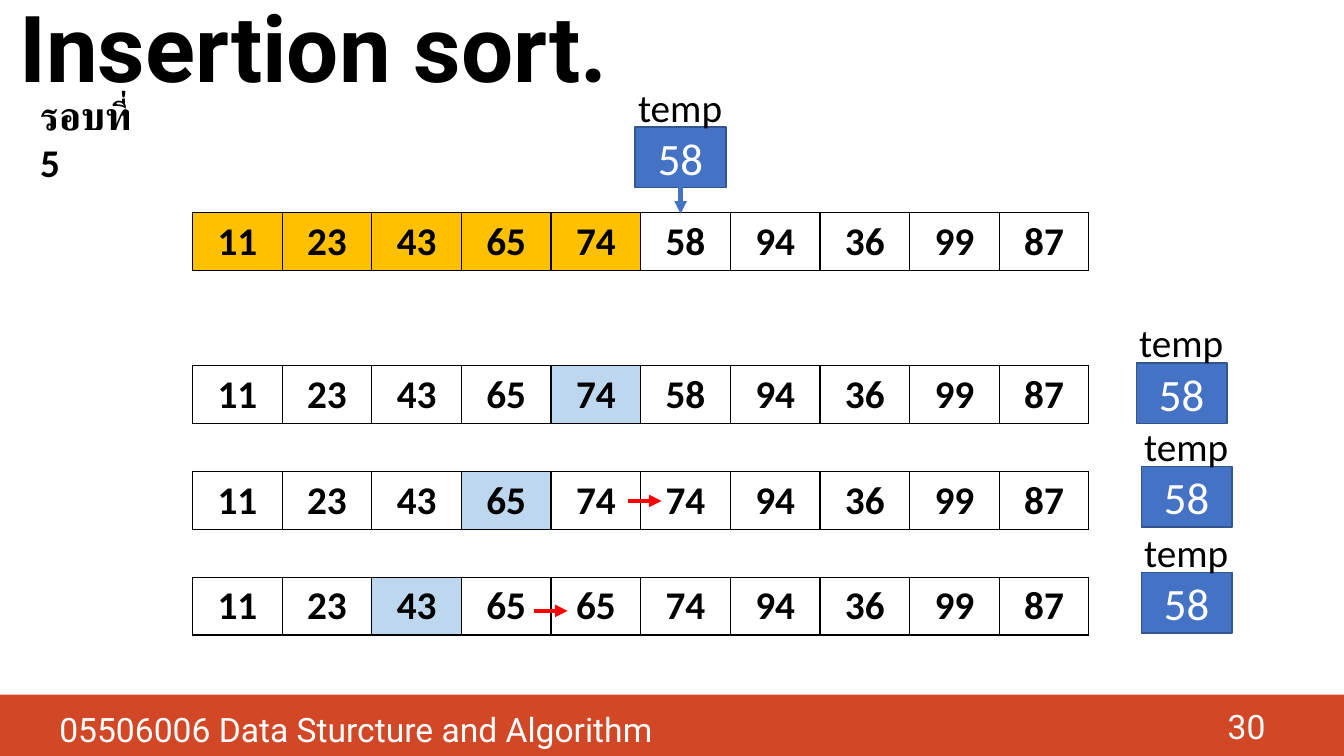
from dataclasses import dataclass
from lxml import etree
from pptx import Presentation
from pptx.dml.color import RGBColor
from pptx.enum.shapes import MSO_CONNECTOR, MSO_SHAPE
from pptx.enum.text import MSO_ANCHOR, MSO_AUTO_SIZE, PP_ALIGN
from pptx.oxml.ns import qn
from pptx.util import Inches, Pt

RECT = MSO_SHAPE.RECTANGLE
LINE = MSO_CONNECTOR.STRAIGHT
TOP, MIDDLE = MSO_ANCHOR.TOP, MSO_ANCHOR.MIDDLE
LEFT, CENTER, RIGHT = PP_ALIGN.LEFT, PP_ALIGN.CENTER, PP_ALIGN.RIGHT
NO_FIT = MSO_AUTO_SIZE.NONE


@dataclass(frozen=True)
class Theme:
    head: str = "Roboto"
    body: str = "Calibri"
    black: str = "000000"
    white: str = "FFFFFF"
    band: str = "D24726"
    sorted: str = "FFC000"
    probe: str = "BDD7EE"
    blue: str = "4472C4"
    edge: str = "325491"
    red: str = "FF0000"
    title: int = 66
    temp: int = 32
    text: int = 28
    foot: int = 24


THEME = Theme()

# Table grid
GRID_X, CELL_W, CELL_H = 1.91, 0.889, 0.57

# Each pass: table top, values, marked columns, mark colour
PASSES = [
    (2.11, [11, 23, 43, 65, 74, 58, 94, 36, 99, 87], range(5), THEME.sorted),
    (3.63, [11, 23, 43, 65, 74, 58, 94, 36, 99, 87], [4], THEME.probe),
    (4.68, [11, 23, 43, 65, 74, 74, 94, 36, 99, 87], [3], THEME.probe),
    (5.73, [11, 23, 43, 65, 65, 74, 94, 36, 99, 87], [2], THEME.probe),
]

# Left and top of each temp box
TEMPS = [(6.3, 1.26), (11.27, 3.6), (11.32, 4.63), (11.32, 5.68)]

# Start, end and colour of each arrow
ARROWS = [
    ((6.75, 1.69), (6.75, 2.12), THEME.blue),
    ((6.23, 4.97), (6.56, 4.97), THEME.red),
    ((5.3, 6.06), (5.63, 6.06), THEME.red),
]


def color(code):
    return RGBColor.from_string(code)


def write(frame, text, size, face=THEME.body, ink=THEME.black, bold=False,
          align=LEFT, anchor=TOP):
    frame.word_wrap = True
    frame.vertical_anchor = anchor
    par = frame.paragraphs[0]
    par.text = text
    par.alignment = align
    font = par.font
    font.name, font.size, font.bold = face, Pt(size), bold
    font.color.rgb = color(ink)
    return par


def add_title(slide, text):
    title = slide.shapes.title
    title.left, title.top = Inches(0.09), Inches(-0.11)
    title.width, title.height = Inches(12.28), Inches(1.27)
    par = write(title.text_frame, text, THEME.title, THEME.head, bold=True,
                anchor=MIDDLE)
    par.line_spacing = 0.9
    title.text_frame.auto_size = NO_FIT


def add_label(slide, area, text, size, **style):
    box = slide.shapes.add_textbox(*map(Inches, area))
    write(box.text_frame, text, size, **style)


def add_box(slide, area, fill, edge=None):
    box = slide.shapes.add_shape(RECT, *map(Inches, area))
    box.shadow.inherit = False
    box.fill.solid()
    box.fill.fore_color.rgb = color(fill)
    if edge:
        box.line.color.rgb = color(edge)
        box.line.width = Pt(1)
    else:
        box.line.fill.background()
    return box


def add_temp(slide, left, top):
    box = add_box(slide, (left, top, 0.9, 0.6), THEME.blue, THEME.edge)
    write(box.text_frame, "58", THEME.temp, ink=THEME.white, align=CENTER,
          anchor=MIDDLE)
    add_label(slide, (left - 0.25, top - 0.46, 1.39, 0.51), "temp",
              THEME.text, align=CENTER, anchor=MIDDLE)


def add_arrow(slide, start, end, ink):
    line = slide.shapes.add_connector(LINE, *map(Inches, start + end))
    line.line.color.rgb = color(ink)
    line.line.width = Pt(3)
    tail = etree.SubElement(line.line._get_or_add_ln(), qn("a:tailEnd"))
    tail.set("type", "triangle")
    etree.SubElement(line._element.spPr, qn("a:effectLst"))


def add_border(cell):
    props = cell._tc.get_or_add_tcPr()
    for side in ("lnL", "lnR", "lnT", "lnB"):
        edge = etree.SubElement(props, qn(f"a:{side}"), w=str(Pt(1)))
        fill = etree.SubElement(edge, qn("a:solidFill"))
        etree.SubElement(fill, qn("a:srgbClr"), val=THEME.black)


def add_row(slide, top, values, marked, mark):
    count = len(values)
    area = (GRID_X, top, CELL_W * count, CELL_H)
    table = slide.shapes.add_table(1, count, *map(Inches, area)).table
    table.first_row = table.horz_banding = False
    for col, value in enumerate(values):
        table.columns[col].width = Inches(CELL_W)
        cell = table.cell(0, col)
        add_border(cell)
        cell.fill.solid()
        cell.fill.fore_color.rgb = color(mark if col in marked else THEME.white)
        cell.vertical_anchor = MIDDLE
        par = cell.text_frame.paragraphs[0]
        par.text = str(value)
        par.alignment = CENTER
        par.font.name, par.font.size = THEME.body, Pt(THEME.text)
        par.font.bold = True
        par.font.color.rgb = color(THEME.black)


def add_footer(slide):
    add_box(slide, (0, 6.89, 13.33, 0.61), THEME.band)
    style = {"face": THEME.head, "ink": THEME.white}
    add_label(slide, (0.49, 6.98, 11.48, 0.66),
              "05506006 Data Sturcture and Algorithm", THEME.foot, **style)
    add_label(slide, (9.65, 7, 3, 0.4), "30", THEME.foot, align=RIGHT,
              anchor=MIDDLE, **style)


def main():
    deck = Presentation()
    deck.slide_width, deck.slide_height = Inches(13.33), Inches(7.5)
    slide = deck.slides.add_slide(deck.slide_layouts[5])

    # Heading and footer
    add_title(slide, "Insertion sort.")
    add_footer(slide)
    add_label(slide, (0.3, 0.86, 1.23, 0.57), "รอบที่ 5", THEME.text, bold=True)

    # Sorting passes
    for step in PASSES:
        add_row(slide, *step)
    for spot in TEMPS:
        add_temp(slide, *spot)
    for arrow in ARROWS:
        add_arrow(slide, *arrow)

    deck.save("out.pptx")


if __name__ == "__main__":
    main()
